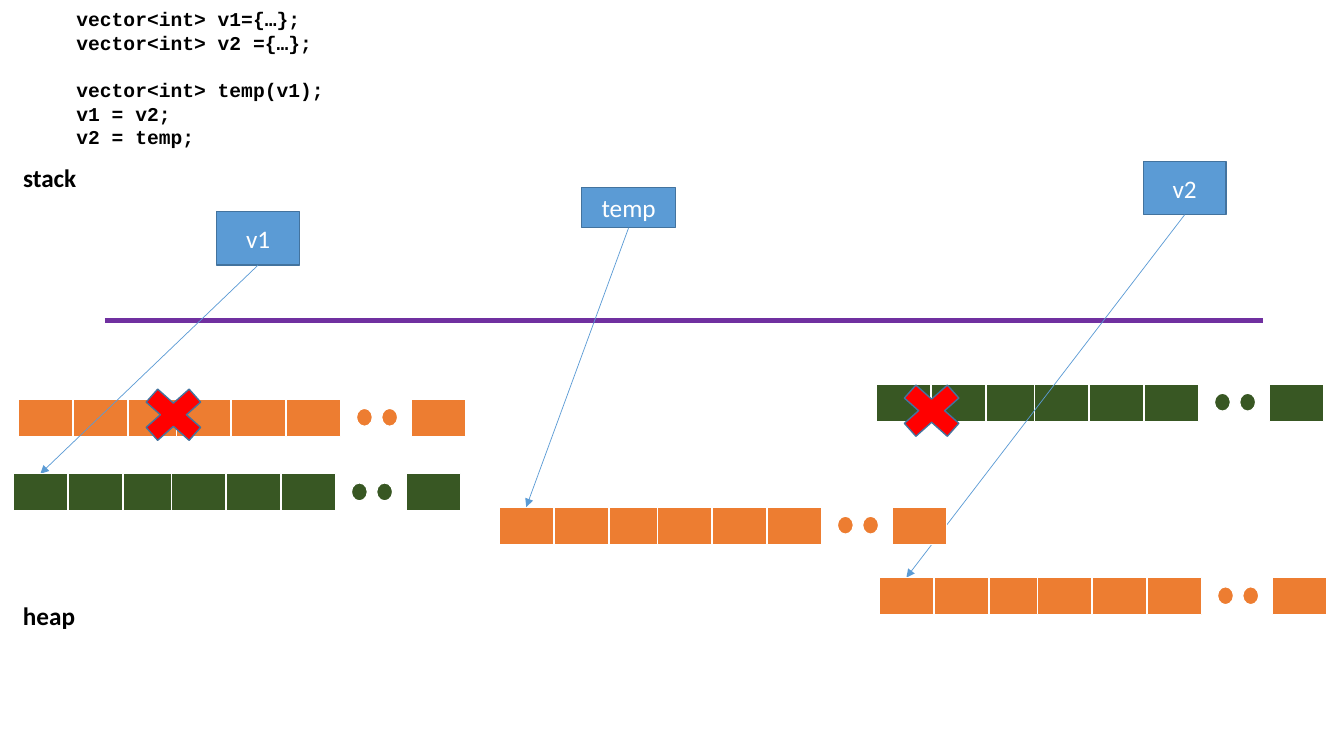
import dataclasses

import pptx
import pptx.dml.color
import pptx.enum.shapes
import pptx.enum.text
import pptx.oxml
import pptx.oxml.ns
import pptx.util

Inches = pptx.util.Inches
Pt = pptx.util.Pt
MSO = pptx.enum.shapes.MSO_SHAPE
PP_ALIGN = pptx.enum.text.PP_ALIGN
MSO_ANCHOR = pptx.enum.text.MSO_ANCHOR

COLORS = {
    "black": "000000", "white": "FFFFFF", "blue": "5B9BD5", "outline": "43739E",
    "orange": "ED7D31", "green": "385723", "purple": "7030A0", "red": "FF0000",
}

# Layout of one heap array, relative to its left edge
CELL_W, CELL_H, CELL_PITCH = 0.54, 0.37, 0.545
CELL_XS = [group + CELL_PITCH * i for group in (0, 1.57) for i in range(3)] + [3.9]
DOT_XS, DOT_DY, DOT_W, DOT_H = (3.355, 3.605), 0.09, 0.16, 0.18

CODE = [
    "vector<int> v1={…};",
    "vector<int> v2 ={…};",
    "vector<int> temp(v1);",
    "v1 = v2;",
    "v2 = temp;",
]
CODE_PITCH = Pt(16.9)
SECOND_BLOCK = 2


@dataclasses.dataclass
class Box:
    left: float
    top: float
    width: float
    height: float

    def emu(self) -> list:
        return [Inches(v) for v in (self.left, self.top, self.width, self.height)]


@dataclasses.dataclass
class HeapArray:
    left: float
    top: float
    color: str


@dataclasses.dataclass
class Variable:
    name: str
    box: Box
    target: HeapArray


V1_OLD = HeapArray(0.18, 3.96, "orange")
V1_NEW = HeapArray(0.13, 4.7, "green")
V2_OLD = HeapArray(8.69, 3.81, "green")
V2_NEW = HeapArray(8.72, 5.73, "orange")
TEMP_ARRAY = HeapArray(4.95, 5.03, "orange")

V1 = Variable("v1", Box(2.15, 2.1, 0.82, 0.53), V1_NEW)
V2 = Variable("v2", Box(11.34, 1.6, 0.82, 0.53), V2_NEW)
TEMP = Variable("temp", Box(5.77, 1.86, 0.93, 0.4), TEMP_ARRAY)


def rgb(name: str):
    return pptx.dml.color.RGBColor.from_string(COLORS[name])


def format_font(font, color: str, **values) -> None:
    for key, value in values.items():
        setattr(font, key, value)
    font.color.rgb = rgb(color)


def add_shape(s, kind, box: Box, fill: str, line: str):
    sp = s.shapes.add_shape(kind, *box.emu())
    sp.shadow.inherit = False
    sp.fill.solid()
    sp.fill.fore_color.rgb = rgb(fill)
    sp.line.color.rgb = rgb(line)
    sp.line.width = Pt(1)
    return sp


def add_line(s, start: tuple, end: tuple, color: str, width: float, arrow: bool = False) -> None:
    points = [Inches(v) for v in (*start, *end)]
    cxn = s.shapes.add_connector(pptx.enum.shapes.MSO_CONNECTOR.STRAIGHT, *points)
    cxn.line.color.rgb = rgb(color)
    cxn.line.width = Pt(width)
    if arrow:
        tail = pptx.oxml.ns.qn("a:tailEnd")
        cxn.line._get_or_add_ln().makeelement(tail)
        end_mark = pptx.oxml.parse_xml(
            f'<a:tailEnd {pptx.oxml.ns.nsdecls("a")} type="triangle"/>')
        cxn.line._get_or_add_ln().append(end_mark)
    cxn._element.spPr.append(
        pptx.oxml.parse_xml(f'<a:effectLst {pptx.oxml.ns.nsdecls("a")}/>'))


def add_text(s, box: Box, lines: list, size: int, name: str):
    tf = s.shapes.add_textbox(*box.emu()).text_frame
    tf.word_wrap = True
    tf.auto_size = pptx.enum.text.MSO_AUTO_SIZE.SHAPE_TO_FIT_TEXT
    for i, line in enumerate(lines):
        p = tf.paragraphs[0] if i == 0 else tf.add_paragraph()
        r = p.add_run()
        r.text = line
        format_font(r.font, "black", size=Pt(size), name=name, bold=True)
    return tf


def add_array(s, array: HeapArray) -> None:
    for x in CELL_XS:
        cell = Box(array.left + x, array.top, CELL_W, CELL_H)
        add_shape(s, MSO.RECTANGLE, cell, array.color, "white")
    for x in DOT_XS:
        dot = Box(array.left + x, array.top + DOT_DY, DOT_W, DOT_H)
        add_shape(s, MSO.OVAL, dot, array.color, "white")


def add_variable(s, var: Variable) -> None:
    sp = add_shape(s, MSO.RECTANGLE, var.box, "blue", "outline")
    tf = sp.text_frame
    tf.vertical_anchor = MSO_ANCHOR.MIDDLE
    p = tf.paragraphs[0]
    p.alignment = PP_ALIGN.CENTER
    r = p.add_run()
    r.text = var.name
    format_font(r.font, "white", size=Pt(18), name="Calibri")


def add_pointer(s, var: Variable) -> None:
    start = (var.box.left + var.box.width / 2, var.box.top + var.box.height)
    end = (var.target.left + CELL_W / 2, var.target.top)
    add_line(s, start, end, "blue", 0.5, arrow=True)


def add_cross(s, left: float, top: float) -> None:
    add_shape(s, MSO.MATH_MULTIPLY, Box(left, top, 0.82, 0.73), "red", "outline")


def main() -> None:
    prs = pptx.Presentation()
    prs.slide_width, prs.slide_height = Inches(13.33), Inches(7.5)
    s = prs.slides.add_slide(prs.slide_layouts[6])

    # Border between stack and heap, with labels
    add_line(s, (1.04, 3.18), (12.53, 3.18), "purple", 3)
    add_text(s, Box(0.13, 1.56, 1.32, 0.4), ["stack"], 18, "Calibri")
    add_text(s, Box(0.13, 5.91, 1.03, 0.4), ["heap"], 18, "Calibri")

    # Code, with a one-line gap before the swap
    tf = add_text(s, Box(0.66, 0.02, 3.57, 1.75), CODE, 14, "Courier New")
    for p in tf.paragraphs:
        p.line_spacing = CODE_PITCH
    tf.paragraphs[SECOND_BLOCK].space_before = CODE_PITCH

    # Variables, their pointers and the arrays, from back to front
    for var, array in ((V1, V1_OLD), (V2, V2_OLD), (TEMP, TEMP_ARRAY)):
        add_variable(s, var)
        add_array(s, array)
        add_pointer(s, var)

    # Released arrays and the copies that replace them
    add_cross(s, 1.31, 3.75)
    add_array(s, V1_NEW)
    add_cross(s, 8.83, 3.71)
    add_array(s, V2_NEW)

    prs.save("out.pptx")


if __name__ == "__main__":
    main()
